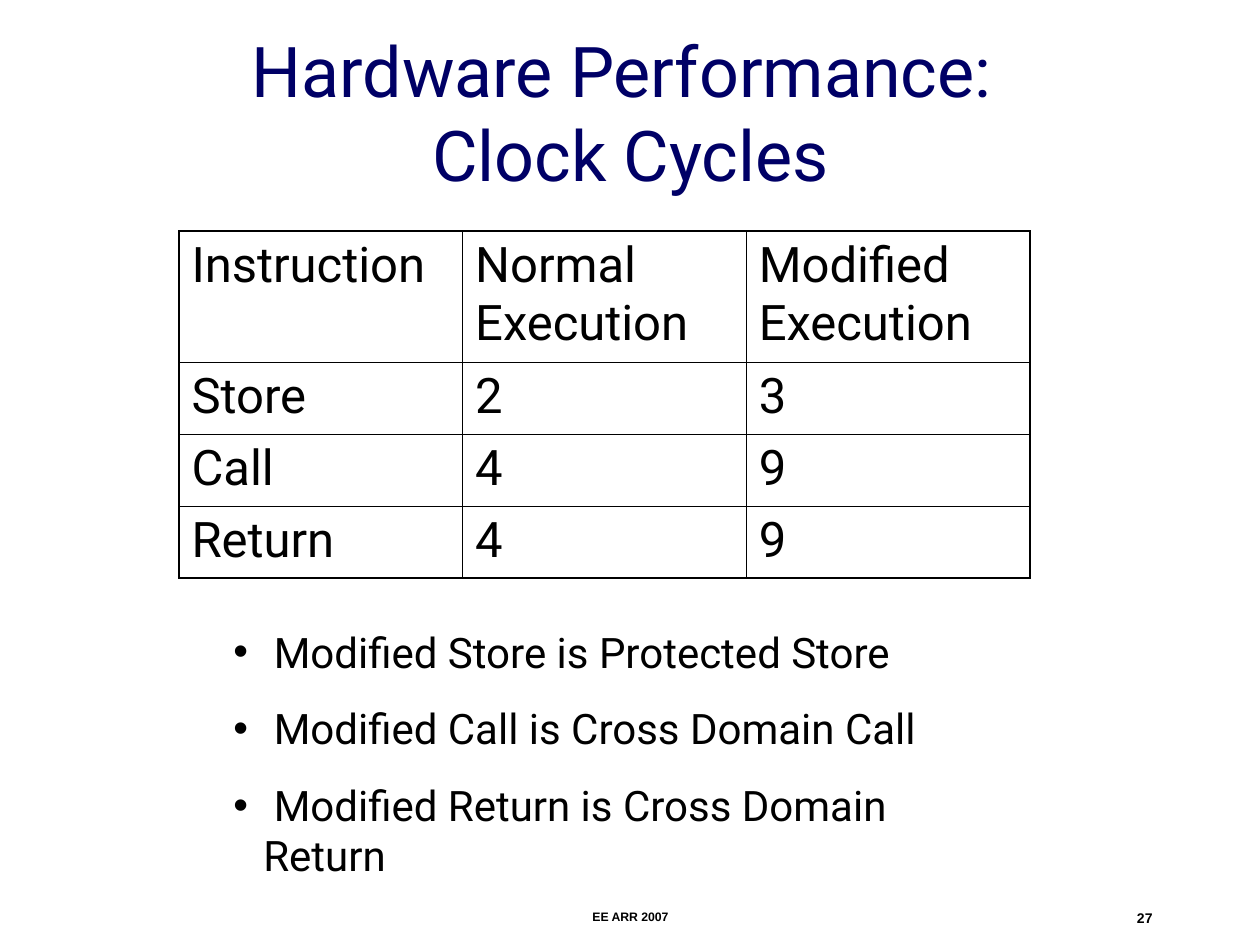
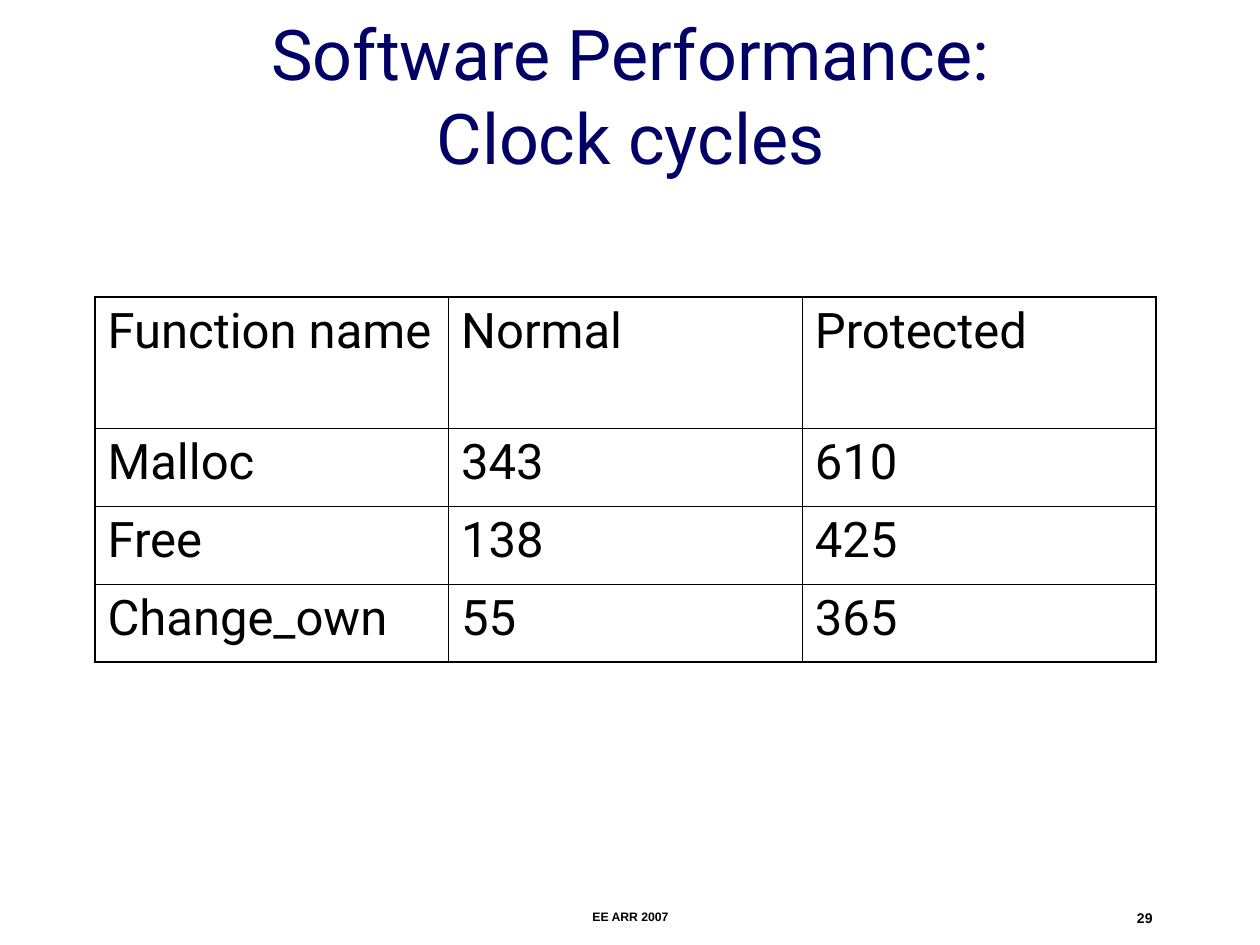
from lxml import etree
from pptx import Presentation
from pptx import util as u
from pptx.dml.color import RGBColor
from pptx.enum import text
from pptx.oxml.ns import qn

# Content
SLIDES = [
    {
        "title": ("Hardware Performance: ", "Clock Cycles"),
        "title_height": 158,
        "table_box": (179, 231, 851),
        "row_heights": (131, 72, 72, 72),
        "rows": [
            ("Instruction", "Normal Execution", "Modified Execution"),
            ("Store", "2", "3"),
            ("Call", "4", "9"),
            ("Return", "4", "9"),
        ],
        "notes": [
            " Modified Store is Protected Store",
            " Modified Call is Cross Domain Call",
            " Modified Return is Cross Domain Return",
        ],
        "number": "27",
    },
    {
        "title": ("Software Performance:", "Clock cycles"),
        "title_height": 126,
        "table_box": (95, 297, 1061),
        "row_heights": (131, 78, 78, 78),
        "rows": [
            ("Function name", "Normal", "Protected"),
            ("Malloc", "343", "610"),
            ("Free", "138", "425"),
            ("Change_own", "55", "365"),
        ],
        "notes": [],
        "number": "29",
    },
]
FOOTER = "EE ARR 2007"

# Shared style
NAVY = RGBColor(0x00, 0x00, 0x66)
BLACK = RGBColor(0x00, 0x00, 0x00)
BODY_FONT, FOOTER_FONT = "Roboto", "Arial"
OUTER_LINE, INNER_LINE = u.Pt(1.08), u.Pt(0.45)
NOTES_BOX = (221, 620, 809, 267)
FOOTER_BOX = (431, 903, 399, 21)
NUMBER_BOX = (903, 903, 262, 21)
BULLET_INDENT = 30
CENTER, RIGHT = text.PP_ALIGN.CENTER, text.PP_ALIGN.RIGHT


def px(length):
    return round(length * u.Inches(1) / 126)


def add_run(paragraph, words, size, color=BLACK, font=BODY_FONT, bold=False):
    run = paragraph.add_run()
    run.text = words
    run.font.size = u.Pt(size)
    run.font.name = font
    run.font.bold = bold
    run.font.color.rgb = color


def add_frame(slide, box):
    frame = slide.shapes.add_textbox(*map(px, box)).text_frame
    frame.word_wrap = True
    return frame


def add_title(slide, lines, height):
    frame = add_frame(slide, (95, 32, 1071, height))
    frame.vertical_anchor = text.MSO_ANCHOR.MIDDLE
    heading = frame.paragraphs[0]
    heading.alignment = CENTER
    for i, line in enumerate(lines):
        if i:
            heading.add_line_break()
        add_run(heading, line, 40, NAVY)


def set_borders(cell, widths):
    """Draw the left, right, top and bottom edges of a cell."""
    properties = cell._tc.get_or_add_tcPr()
    for i, (side, width) in enumerate(zip("LRTB", widths)):
        edge = etree.Element(qn(f"a:ln{side}"), w=str(width))
        fill = etree.SubElement(edge, qn("a:solidFill"))
        etree.SubElement(fill, qn("a:srgbClr"), val=str(BLACK))
        properties.insert(i, edge)


def add_cycles_table(slide, box, heights, rows):
    left, top, width = box
    row_count, col_count = len(rows), len(rows[0])
    table = slide.shapes.add_table(
        row_count, col_count, px(left), px(top), px(width), px(sum(heights))).table
    table.first_row = table.horz_banding = False
    for row, height in zip(table.rows, heights):
        row.height = px(height)
    for r, values in enumerate(rows):
        for c, value in enumerate(values):
            cell = table.cell(r, c)
            cell.fill.background()
            add_run(cell.text_frame.paragraphs[0], value, 28)
            on_edge = (c == 0, c == col_count - 1, r == 0, r == row_count - 1)
            set_borders(cell, [OUTER_LINE if outer else INNER_LINE for outer in on_edge])


def add_notes(slide, notes):
    frame = add_frame(slide, NOTES_BOX)
    for i, note in enumerate(notes):
        paragraph = frame.add_paragraph() if i else frame.paragraphs[0]
        if i:
            paragraph.space_before = u.Pt(15)
        properties = paragraph._p.get_or_add_pPr()
        properties.set("marL", str(px(BULLET_INDENT)))
        properties.set("indent", str(-px(BULLET_INDENT)))
        etree.SubElement(properties, qn("a:buFont"), typeface=FOOTER_FONT)
        etree.SubElement(properties, qn("a:buChar"), char="•")
        add_run(paragraph, note, 24)


def add_footer(slide, box, words, size, alignment):
    paragraph = add_frame(slide, box).paragraphs[0]
    paragraph.alignment = alignment
    add_run(paragraph, words, size, font=FOOTER_FONT, bold=True)


def main():
    deck = Presentation()
    deck.slide_width, deck.slide_height = px(1260), px(945)
    for content in SLIDES:
        slide = deck.slides.add_slide(deck.slide_layouts[6])
        add_title(slide, content["title"], content["title_height"])
        add_cycles_table(slide, content["table_box"], content["row_heights"], content["rows"])
        if content["notes"]:
            add_notes(slide, content["notes"])
        add_footer(slide, FOOTER_BOX, FOOTER, 7, CENTER)
        add_footer(slide, NUMBER_BOX, content["number"], 8, RIGHT)
    deck.save("out.pptx")


if __name__ == "__main__":
    main()
